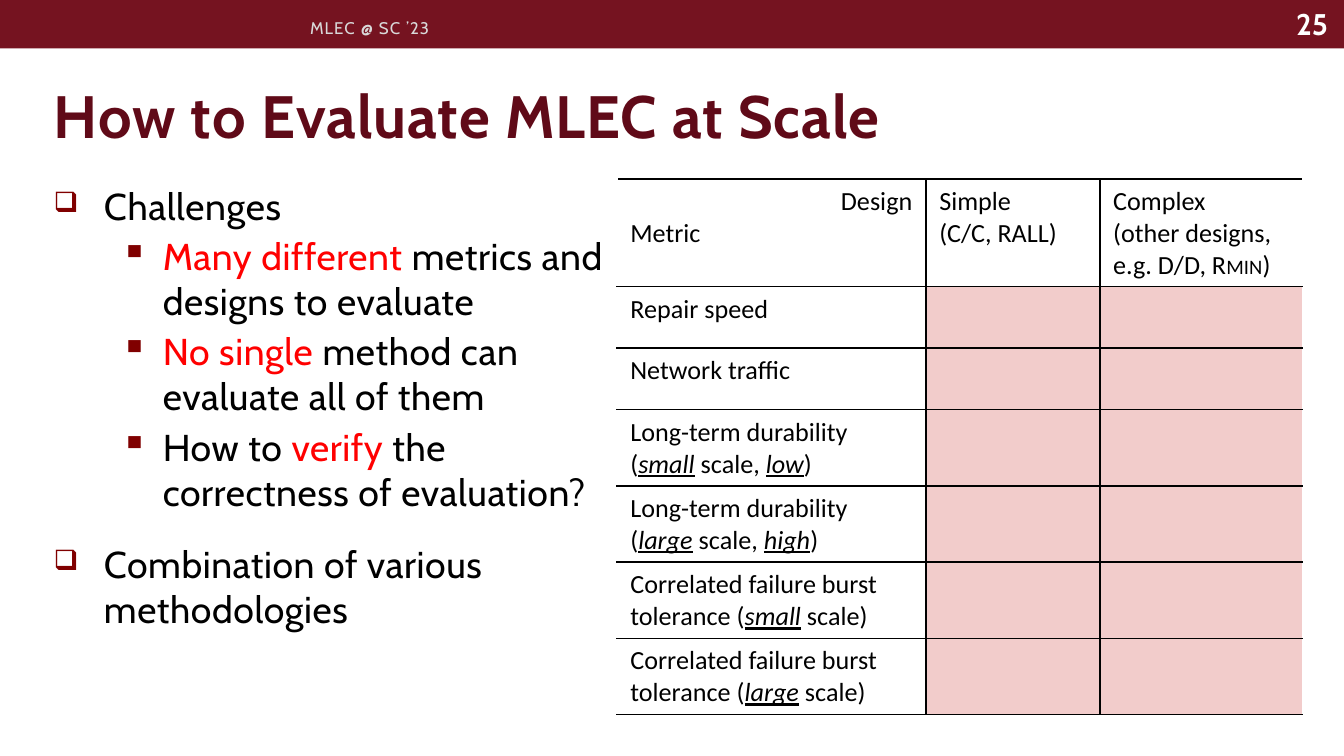
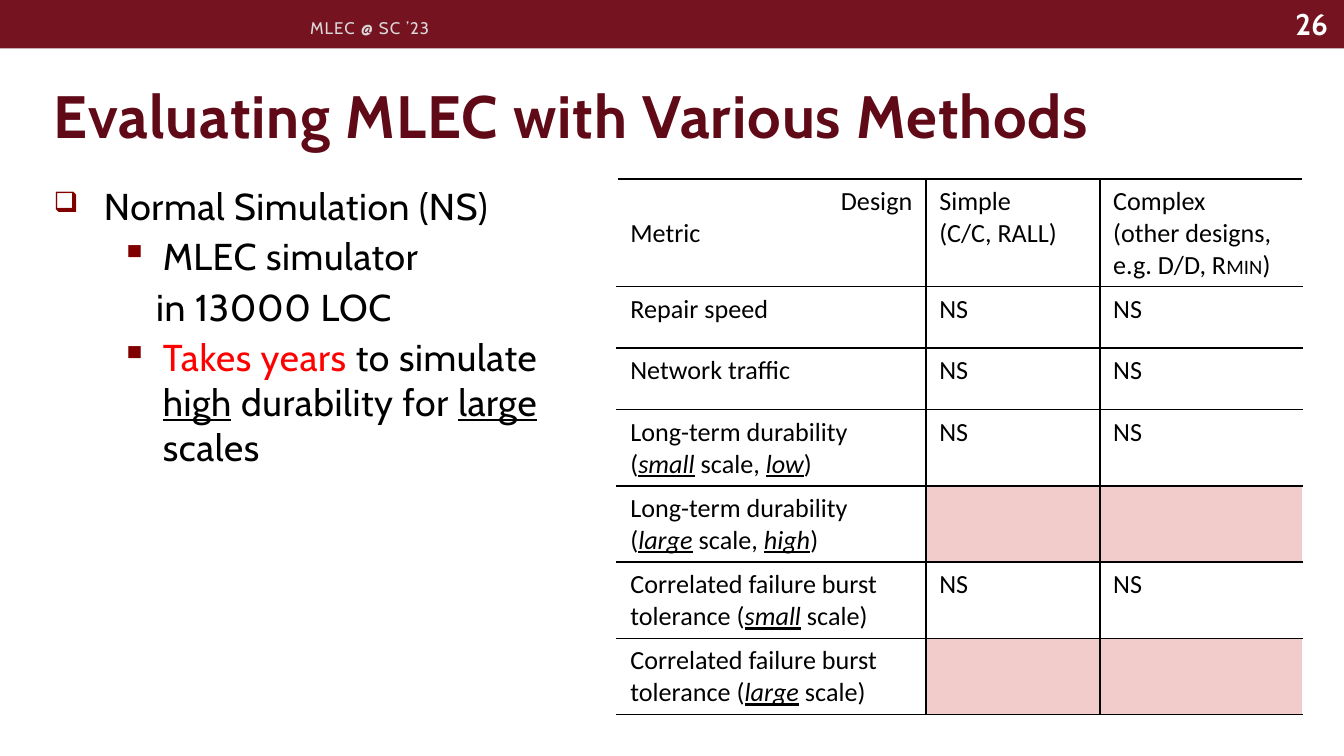
"""Build two slides on evaluating MLEC at scale."""
from dataclasses import dataclass

import pptx
import pptx.dml.color
import pptx.enum.shapes
import pptx.enum.text
import pptx.oxml
import pptx.oxml.ns
import pptx.util
from lxml import etree

Pt = pptx.util.Pt
ALIGN = pptx.enum.text.PP_ALIGN
ANCHOR = pptx.enum.text.MSO_ANCHOR

BAND, TITLE, BULLET = "751320", "600A18", "800000"
BLACK, WHITE, GREY, RED, PINK = "000000", "FFFFFF", "D9D9D9", "FF0000", "F2CCCB"
SIDES = {"left": "a:lnL", "right": "a:lnR", "top": "a:lnT", "bottom": "a:lnB"}
COLS = (165.5, 93.2, 108.7)
ROWS = (57.6, 33, 33, 40.4, 40.4, 40.4, 40.4)


@dataclass(frozen=True)
class Font:
    name: str
    size: float
    color: str = BLACK
    bold: bool = False
    space: float = 0


@dataclass(frozen=True)
class Bit:
    text: str
    color: str = ""
    under: bool = False
    slant: bool = False
    size: float = 0


@dataclass(frozen=True)
class Level:
    left: float
    hang: float
    before: float
    mark: str = ""
    scale: int = 100


@dataclass(frozen=True)
class Line:
    bits: tuple[Bit, ...]
    level: Level | None = None
    align: ALIGN = ALIGN.LEFT


@dataclass(frozen=True)
class Page:
    number: int
    title: str
    points: tuple[Line, ...]
    marks: tuple[str, ...]


HEAD = Font("Cabin", 32, TITLE, True, 0.5)
NUMBER = Font("Cabin", 16, WHITE, True)
FOOT = Font("Cabin", 9, GREY, space=0.6)
BODY = Font("Cabin", 20, space=0.3)
CELL = Font("Calibri", 14)

MAIN = Level(27, -27, 15, "❑", 75)
SUB = Level(58.5, -22.5, 3, "▪")
MORE = Level(55, 0, 3)


def line(*parts: str | Bit, level: Level | None = None, align: ALIGN = ALIGN.LEFT) -> Line:
    """Make a line from plain and styled parts."""
    bits = tuple(Bit(part) if isinstance(part, str) else part for part in parts)
    return Line(bits, level, align)


def stress(text: str) -> Bit:
    """Make an underlined italic bit."""
    return Bit(text, under=True, slant=True)


def span(scale: str, goal: str) -> tuple[Line, ...]:
    """Name a durability metric."""
    return (line("Long-term durability"),
            line("(", stress(scale), " scale, ", stress(goal), ")"))


def burst(scale: str) -> tuple[Line, ...]:
    """Name a burst tolerance metric."""
    return (line("Correlated failure burst tolerance (", stress(scale), " scale)"),)


HEADER = (
    (line("Design", align=ALIGN.RIGHT), line("Metric")),
    (line("Simple"), line("(C/C, RALL)")),
    (line("Complex"), line("(other designs,"),
     line("e.g. D/D, R", Bit("MIN", size=11), ")")),
)
METRICS = (
    (line("Repair speed"),), (line("Network traffic"),),
    span("small", "low"), span("large", "high"), burst("small"), burst("large"),
)
PAGES = (
    Page(25, "How to Evaluate MLEC at Scale", (
        line("Challenges", level=MAIN),
        line(Bit("Many different ", RED), "metrics and designs to evaluate", level=SUB),
        line(Bit("No single ", RED), "method can evaluate all of them", level=SUB),
        line("How to ", Bit("verify", RED), " the correctness of evaluation?", level=SUB),
        line("Combination of various methodologies", level=MAIN),
    ), ("",) * 6),
    Page(26, "Evaluating MLEC with Various Methods", (
        line("Normal Simulation (NS)", level=MAIN),
        line("MLEC simulator", level=SUB),
        line("in 13000 LOC", level=MORE),
        line(Bit("Takes years ", RED), "to simulate ", Bit("high", under=True),
             " durability for ", Bit("large", under=True), " scales", level=SUB),
    ), ("NS", "NS", "NS", "", "NS", "")),
)


def tint(code: str) -> pptx.dml.color.RGBColor:
    """Turn a hex string into a colour."""
    return pptx.dml.color.RGBColor.from_string(code)


def child(parent, tag: str, **attrs: str):
    """Add an XML child with attributes."""
    return etree.SubElement(parent, pptx.oxml.ns.qn(tag), attrs)


def indent(para, level: Level) -> None:
    """Give a paragraph its indent and bullet."""
    para.space_before = Pt(level.before)
    props = para._p.get_or_add_pPr()
    props.set("marL", str(Pt(level.left)))
    props.set("indent", str(Pt(level.hang)))
    if level.mark:
        child(child(props, "a:buClr"), "a:srgbClr", val=BULLET)
        child(props, "a:buSzPct", val=str(level.scale * 1000))
        child(props, "a:buChar", char=level.mark)
    else:
        child(props, "a:buNone")


def style(run, font: Font, bit: Bit) -> None:
    """Format a run."""
    run.font.name = font.name
    run.font.size = Pt(bit.size or font.size)
    run.font.bold = font.bold
    run.font.italic = bit.slant
    run.font.underline = bit.under
    run.font.color.rgb = tint(bit.color or font.color)
    if font.space:
        run._r.get_or_add_rPr().set("spc", str(round(font.space * 100)))


def write(frame, lines: tuple[Line, ...], font: Font) -> None:
    """Fill a text frame with lines."""
    for index, item in enumerate(lines):
        para = frame.add_paragraph() if index else frame.paragraphs[0]
        para.alignment = item.align
        if item.level:
            indent(para, item.level)
        for bit in item.bits:
            run = para.add_run()
            run.text = bit.text
            style(run, font, bit)


def place(shape, left: float, top: float, width: float, height: float) -> None:
    """Set a shape's place and size."""
    shape.left, shape.top = Pt(left), Pt(top)
    shape.width, shape.height = Pt(width), Pt(height)


def label(slide, area: tuple[float, ...], lines: tuple[Line, ...], font: Font,
          anchor: ANCHOR = ANCHOR.MIDDLE) -> None:
    """Add a wrapped text box."""
    box = slide.shapes.add_textbox(*map(Pt, area))
    box.text_frame.word_wrap = True
    box.text_frame.vertical_anchor = anchor
    write(box.text_frame, lines, font)


def edge(cell, sides: tuple[str, ...]) -> None:
    """Draw black borders on some sides of a cell."""
    props = cell._tc.get_or_add_tcPr()
    for index, side in enumerate(side for side in SIDES if side in sides):
        border = etree.Element(pptx.oxml.ns.qn(SIDES[side]), w=str(Pt(1)))
        child(child(border, "a:solidFill"), "a:srgbClr", val=BLACK)
        props.insert(index, border)


def grid(slide, marks: tuple[str, ...]) -> None:
    """Add the table of metrics and designs."""
    area = (330.5, 95.8, sum(COLS), sum(ROWS))
    table = slide.shapes.add_table(len(ROWS), len(COLS), *map(Pt, area)).table
    table.first_row = table.horz_banding = False
    for column, width in zip(table.columns, COLS):
        column.width = Pt(width)
    for row, height in zip(table.rows, ROWS):
        row.height = Pt(height)
    body = [(name, *[(line(mark),) if mark else ()] * 2)
            for name, mark in zip(METRICS, marks)]
    for row, texts in enumerate([HEADER, *body]):
        for col, lines in enumerate(texts):
            cell = table.cell(row, col)
            if lines:
                cell.fill.background()
                write(cell.text_frame, lines, CELL)
            else:
                cell.fill.solid()
                cell.fill.fore_color.rgb = tint(PINK)
            left = ("left",) if col else ()
            right = ("right",) if col < len(COLS) - 1 else ()
            edge(cell, (*left, *right, "top", "bottom"))


def head(slide, text: str) -> None:
    """Place and format the title."""
    title = slide.shapes.title
    place(title, 21.6, 16.6, 679, 67.7)
    frame = title.text_frame
    frame.word_wrap = True
    frame.auto_size = pptx.enum.text.MSO_AUTO_SIZE.NONE
    frame.vertical_anchor = ANCHOR.BOTTOM
    write(frame, (line(text),), HEAD)


def band(slide) -> None:
    """Put the top band on the layout of a slide."""
    shape = slide.shapes.add_shape(
        pptx.enum.shapes.MSO_SHAPE.RECTANGLE, 0, 0, Pt(720), Pt(26))
    shape.shadow.inherit = False
    shape.fill.solid()
    shape.fill.fore_color.rgb = tint(BAND)
    shape.line.fill.background()
    slide.slide_layout.shapes.element.insert(2, shape.element)


def draw(slide, page: Page) -> None:
    """Draw one page."""
    head(slide, page.title)
    label(slide, (655, -0.7, 63.5, 26.7),
          (line(str(page.number), align=ALIGN.RIGHT),), NUMBER)
    label(slide, (159, 4.5, 256, 21), (line("MLEC @ SC ’23"),), FOOT)
    grid(slide, page.marks)
    label(slide, (21.6, 94.5, 309, 302.5), page.points, BODY, ANCHOR.TOP)


def main() -> None:
    """Build and save the deck."""
    deck = pptx.Presentation()
    deck.slide_width, deck.slide_height = Pt(720), Pt(405)
    layout = deck.slide_layouts[5]
    for index, page in enumerate(PAGES):
        slide = deck.slides.add_slide(layout)
        if index == 0:
            band(slide)
        draw(slide, page)
    deck.save("out.pptx")


if __name__ == "__main__":
    main()
